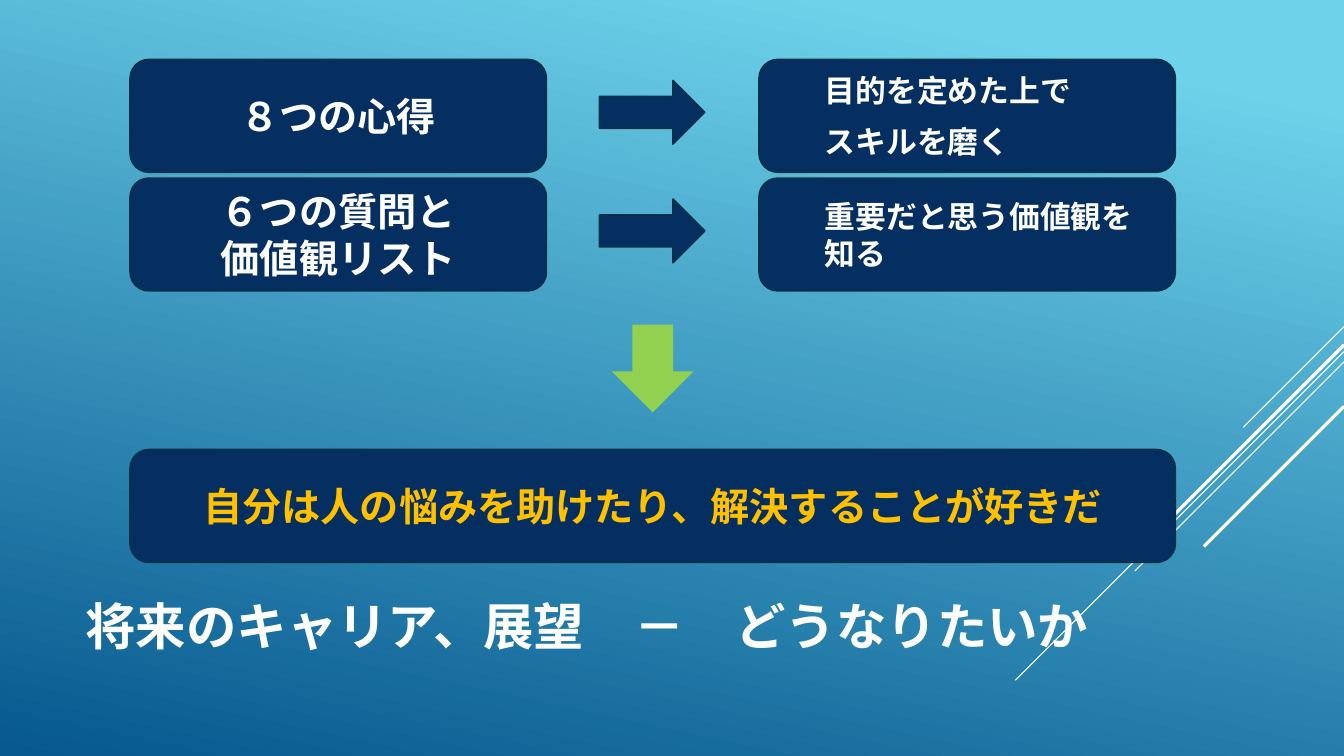
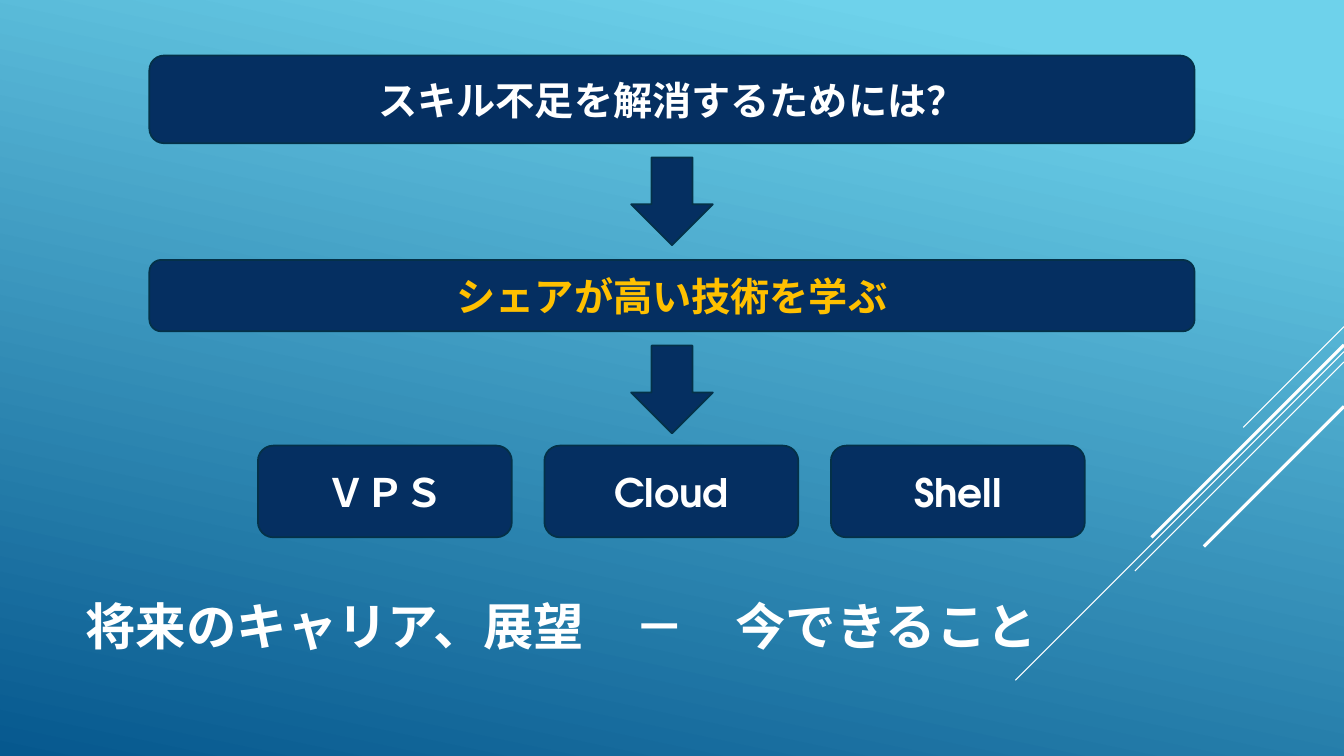
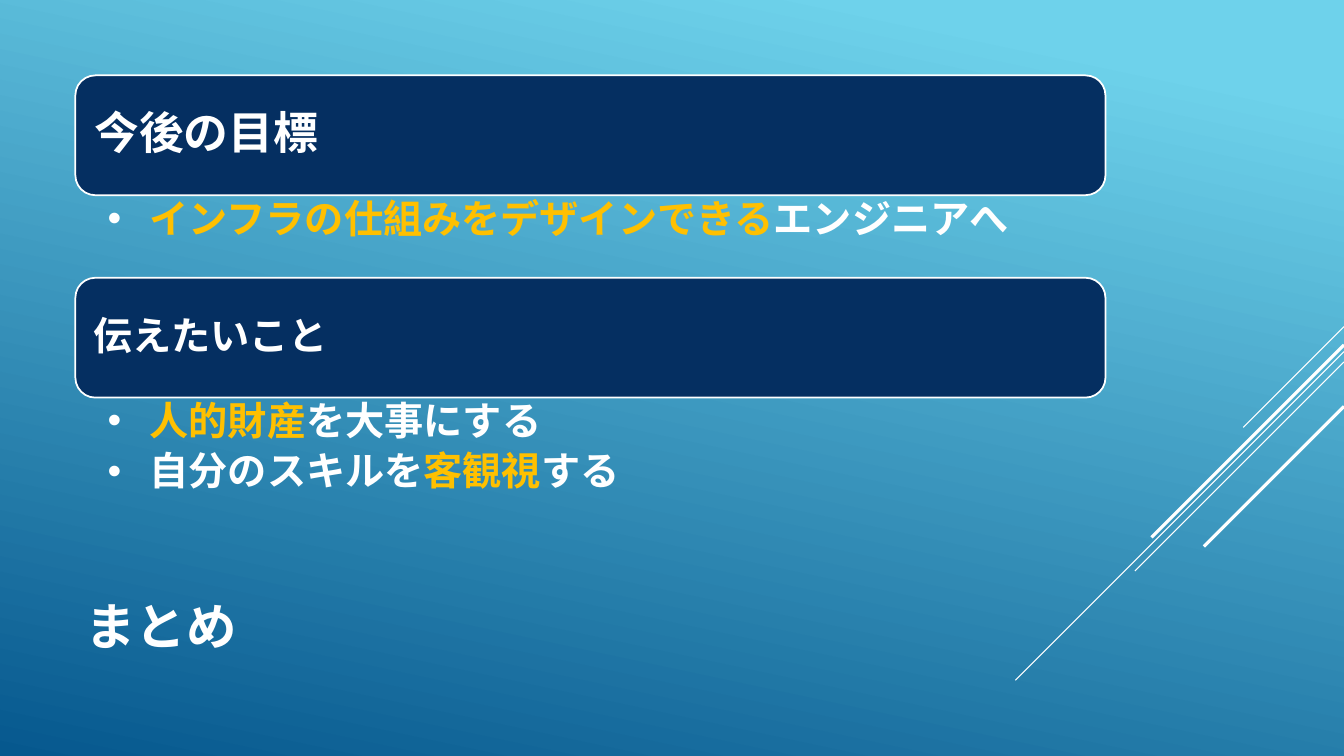
"""Build three career-planning slides on a shared blue gradient master."""

from typing import NamedTuple

from lxml import etree
from pptx import Presentation
from pptx.dml.color import RGBColor
from pptx.enum.shapes import MSO_CONNECTOR, MSO_SHAPE
from pptx.enum.text import MSO_ANCHOR, MSO_AUTO_SIZE, PP_ALIGN
from pptx.oxml.ns import qn
from pptx.presentation import Presentation as PresentationType
from pptx.shapes.autoshape import Shape
from pptx.slide import Slide
from pptx.text.text import TextFrame, _Paragraph, _Run
from pptx.util import Cm, Pt

ROUNDED = MSO_SHAPE.ROUNDED_RECTANGLE
RIGHT_ARROW = MSO_SHAPE.RIGHT_ARROW
DOWN_ARROW = MSO_SHAPE.DOWN_ARROW
STRAIGHT = MSO_CONNECTOR.STRAIGHT
LEFT, CENTER = PP_ALIGN.LEFT, PP_ALIGN.CENTER
TOP, MIDDLE, BOTTOM = MSO_ANCHOR.TOP, MSO_ANCHOR.MIDDLE, MSO_ANCHOR.BOTTOM
NO_AUTOFIT = MSO_AUTO_SIZE.NONE

WHITE = RGBColor(0xFF, 0xFF, 0xFF)
NAVY = RGBColor(0x05, 0x2F, 0x61)
OUTLINE = RGBColor(0x04, 0x31, 0x48)
GOLD = RGBColor(0xFF, 0xC0, 0x00)
GREEN = RGBColor(0x92, 0xD0, 0x50)
SKY = RGBColor(0x6E, 0xD2, 0xEB)
OCEAN = RGBColor(0x06, 0x58, 0x8E)

FONT = "TeX Gyre Adventor"
SLIDE_WIDTH, SLIDE_HEIGHT = 33.87, 19.05
BANNER_WIDTH = 26.34
ARROW_WIDTH, ARROW_HEIGHT = 2.06, 2.21
TITLE_ONLY, TWO_CONTENT = 5, 3


class Box(NamedTuple):
    """Position and size in centimetres."""

    left: float
    top: float
    width: float
    height: float


class Streak(NamedTuple):
    """Diagonal line falling leftwards at 45 degrees from the right edge."""

    top: float
    reach: float
    weight: float


class Habit(NamedTuple):
    """Activity and the insight it leads to."""

    activity: str
    insight: str


class Banner(NamedTuple):
    """Full-width statement."""

    text: str
    top: float
    height: float
    color: RGBColor


class Segment(NamedTuple):
    """Piece of a bullet with its own colour."""

    text: str
    color: RGBColor = WHITE


class Section(NamedTuple):
    """Heading bar with the bullets below it."""

    heading: str
    size: float
    inset: float
    list_height: float
    bullets: list[list[Segment]]


STREAKS = [
    Streak(8.23, 2.54, 0.75),
    Streak(8.86, 8.28, 0.75),
    Streak(9.12, 5.27, 0.75),
    Streak(8.69, 4.85, 2.25),
    Streak(10.24, 3.53, 2.25),
]
HABITS = [
    Habit("８つの心得", "目的を定めた上で\nスキルを磨く"),
    Habit("６つの質問と\n価値観リスト", "重要だと思う価値観を知る"),
]
BANNERS = [
    Banner("スキル不足を解消するためには？", 1.4, 2.21, WHITE),
    Banner("シェアが高い技術を学ぶ", 6.55, 1.8, GOLD),
]
TECHNOLOGIES = ["ＶＰＳ", "Cloud", "Shell"]
SECTIONS = [
    Section("今後の目標", 32, 0.33, 2.08, [
        [Segment("インフラの仕組みをデザインできる", GOLD), Segment("エンジニアへ")],
    ]),
    Section("伝えたいこと", 28, 0.3, 4.11, [
        [Segment("人的財産", GOLD), Segment("を大事にする")],
        [Segment("自分のスキルを"), Segment("客観視", GOLD), Segment("する")],
    ]),
]


def format_run(run: _Run, size: float, color: RGBColor) -> None:
    """Apply the shared bold typeface to Latin and Japanese characters."""
    run.font.name = FONT
    run.font.size = Pt(size)
    run.font.bold = True
    run.font.color.rgb = color
    latin = run._r.get_or_add_rPr().find(qn("a:latin"))
    latin.addnext(latin.makeelement(qn("a:ea"), {"typeface": FONT}))


def format_text(text_frame: TextFrame, size: float, color: RGBColor,
                alignment: PP_ALIGN, anchor: MSO_ANCHOR) -> None:
    """Format every paragraph of a text frame alike."""
    text_frame.word_wrap = True
    text_frame.auto_size = NO_AUTOFIT
    text_frame.vertical_anchor = anchor
    for paragraph in text_frame.paragraphs:
        paragraph.alignment = alignment
        for run in paragraph.runs:
            format_run(run, size, color)


def place(shape: Shape, box: Box) -> None:
    """Move a placeholder to a box."""
    shape.left, shape.top, shape.width, shape.height = map(Cm, box)


def add_figure(slide: Slide, kind: MSO_SHAPE, box: Box, fill: RGBColor = NAVY,
               outline: RGBColor | None = OUTLINE) -> Shape:
    """Add a flat preset shape."""
    shape = slide.shapes.add_shape(kind, *map(Cm, box))
    shape.shadow.inherit = False
    shape.fill.solid()
    shape.fill.fore_color.rgb = fill
    if outline is None:
        shape.line.fill.background()
    else:
        shape.line.color.rgb = outline
        shape.line.width = Pt(1.25)
    return shape


def add_label(slide: Slide, text: str, box: Box, size: float = 28,
              color: RGBColor = WHITE, alignment: PP_ALIGN = CENTER,
              outline: RGBColor = OUTLINE) -> Shape:
    """Add a navy rounded box with text."""
    shape = add_figure(slide, ROUNDED, box, outline=outline)
    shape.text_frame.text = text
    format_text(shape.text_frame, size, color, alignment, MIDDLE)
    return shape


def add_slide(presentation: PresentationType, layout: int, title: str, width: float) -> Slide:
    """Add a slide with its title at the bottom left."""
    slide = presentation.slides.add_slide(presentation.slide_layouts[layout])
    title_shape = slide.shapes.title
    place(title_shape, Box(1.9, 12.47, width, 4.19))
    title_shape.text_frame.text = title
    format_text(title_shape.text_frame, 36, WHITE, LEFT, BOTTOM)
    return slide


def style_master(presentation: PresentationType, slide: Slide) -> None:
    """Give the master its gradient and diagonal streaks, drawn by way of a slide."""
    master = presentation.slide_master
    fill = master.background.fill
    fill.gradient()
    fill.gradient_angle = 258
    for stop, position, color in zip(fill.gradient_stops, (0.1, 1), (SKY, OCEAN)):
        stop.position = position
        stop.color.rgb = color
    for number, streak in enumerate(STREAKS, start=20):
        connector = slide.shapes.add_connector(
            STRAIGHT, Cm(SLIDE_WIDTH), Cm(streak.top),
            Cm(SLIDE_WIDTH - streak.reach), Cm(streak.top + streak.reach))
        connector.line.color.rgb = WHITE
        connector.line.width = Pt(streak.weight)
        etree.SubElement(connector.element.spPr, qn("a:effectLst"))
        connector.element.nvCxnSpPr.cNvPr.set("id", str(number))
        master.shapes.element.append(connector.element)


def format_insight(paragraph: _Paragraph) -> None:
    """Indent and space a line of an insight."""
    paragraph.space_before = Pt(4.4)
    paragraph.space_after = Pt(6)
    paragraph._p.get_or_add_pPr().set("marL", str(Cm(1.27)))


def fill_bullet(paragraph: _Paragraph, segments: list[Segment]) -> None:
    """Write a bullet in coloured segments behind a white dot."""
    paragraph.alignment = LEFT
    paragraph.line_spacing = 0.9
    paragraph.space_before = Pt(0)
    paragraph.space_after = Pt(5.6)
    properties = paragraph._p.get_or_add_pPr()
    properties.set("marL", str(Cm(1.06)))
    properties.set("indent", str(-Cm(1.06)))
    bullet_color = etree.SubElement(properties, qn("a:buClr"))
    etree.SubElement(bullet_color, qn("a:srgbClr"), val=str(WHITE))
    etree.SubElement(properties, qn("a:buChar"), char="•")
    for segment in segments:
        run = paragraph.add_run()
        run.text = segment.text
        format_run(run, 28, segment.color)


def build_vision(presentation: PresentationType) -> Slide:
    """Build the slide on what to become."""
    slide = add_slide(presentation, TITLE_ONLY, "将来のキャリア、展望　－　どうなりたいか", 29.74)
    left, width, height = 3.28, 10.49, 2.84
    for row, habit in enumerate(HABITS):
        top = 1.5 + row * 2.99
        add_label(slide, habit.activity, Box(left, top, width, height))
        add_figure(slide, RIGHT_ARROW, Box(15.11, top + 0.53, 2.65, 1.6))
        insight = add_label(slide, habit.insight,
                            Box(left + BANNER_WIDTH - width, top, width, height),
                            size=22, alignment=LEFT)
        for paragraph in insight.text_frame.paragraphs:
            format_insight(paragraph)
    add_label(slide, "自分は人の悩みを助けたり、解決することが好きだ",
              Box(left, 11.33, BANNER_WIDTH, height), color=GOLD)
    arrow_left = left + (BANNER_WIDTH - ARROW_WIDTH) / 2
    add_figure(slide, DOWN_ARROW, Box(arrow_left, 8.18, ARROW_WIDTH, ARROW_HEIGHT),
               GREEN, None)
    return slide


def build_actions(presentation: PresentationType) -> None:
    """Build the slide on what can be done now."""
    slide = add_slide(presentation, TITLE_ONLY, "将来のキャリア、展望　－　今できること", 25.96)
    for banner in BANNERS:
        add_label(slide, banner.text,
                  Box((SLIDE_WIDTH - BANNER_WIDTH) / 2, banner.top, BANNER_WIDTH, banner.height),
                  color=banner.color)
        add_figure(slide, DOWN_ARROW,
                   Box((SLIDE_WIDTH - ARROW_WIDTH) / 2, banner.top + banner.height + 0.36,
                       ARROW_WIDTH, ARROW_HEIGHT))
    for column, technology in enumerate(TECHNOLOGIES):
        add_label(slide, technology, Box(6.5 + column * 7.22, 11.23, 6.4, 2.31))


def build_summary(presentation: PresentationType) -> None:
    """Build the closing slide."""
    slide = add_slide(presentation, TWO_CONTENT, "まとめ", 23.7)
    left, width, bar_height = 1.9, 25.96, 3.02
    for index, section in enumerate(SECTIONS):
        top = 1.9 + index * 5.1
        bar = add_label(slide, section.heading, Box(left, top, width, bar_height),
                        size=section.size, alignment=LEFT, outline=WHITE)
        bar.text_frame.margin_left = Cm(section.inset)
        bar.text_frame.paragraphs[0].line_spacing = 0.9
        body = slide.placeholders[index + 1]
        place(body, Box(left, top + bar_height, width, section.list_height))
        text_frame = body.text_frame
        format_text(text_frame, 28, WHITE, LEFT, TOP)
        text_frame.margin_left, text_frame.margin_right = Cm(0.81), Cm(0.56)
        text_frame.margin_top = text_frame.margin_bottom = Cm(0.1)
        for number, segments in enumerate(section.bullets):
            paragraph = text_frame.add_paragraph() if number else text_frame.paragraphs[0]
            fill_bullet(paragraph, segments)


def main() -> None:
    """Build and save the presentation."""
    presentation = Presentation()
    presentation.slide_width, presentation.slide_height = Cm(SLIDE_WIDTH), Cm(SLIDE_HEIGHT)
    style_master(presentation, build_vision(presentation))
    build_actions(presentation)
    build_summary(presentation)
    presentation.save("out.pptx")


if __name__ == "__main__":
    main()
